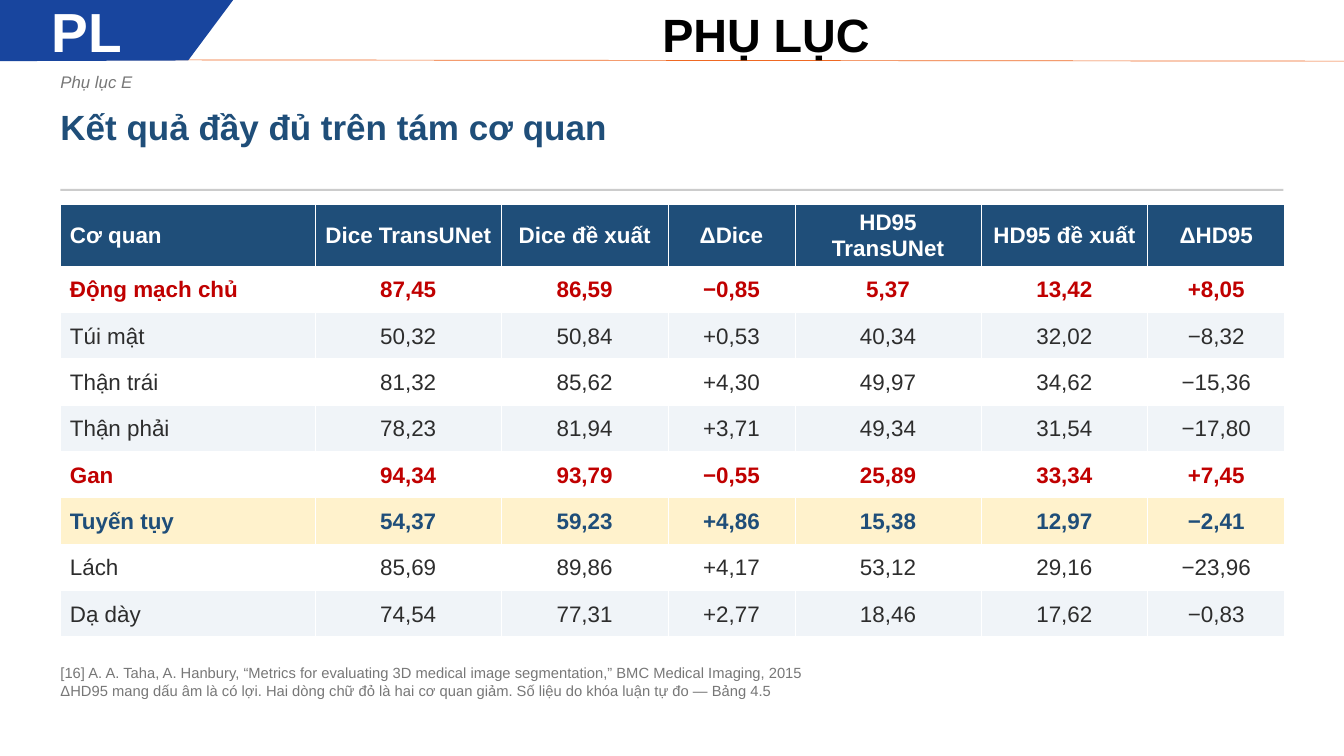
import pptx
import pptx.util
import pptx.dml.color
import pptx.enum.text
import pptx.enum.shapes
import lxml.etree
from dataclasses import dataclass

Inches, Pt = pptx.util.Inches, pptx.util.Pt
RGB = pptx.dml.color.RGBColor.from_string
Align = pptx.enum.text.PP_ALIGN
Anchor = pptx.enum.text.MSO_ANCHOR
Fit = pptx.enum.text.MSO_AUTO_SIZE


@dataclass
class Theme:
    face: str = "Arial"
    white: str = "FFFFFF"
    black: str = "000000"
    navy: str = "1F4E79"
    blue: str = "18459E"
    orange: str = "EF6822"
    red: str = "C00000"
    ink: str = "2D2D2D"
    gray: str = "777777"
    rule: str = "CCCCCC"
    pale: str = "F0F4F8"
    gold: str = "FFF2CC"
    badge: float = 59
    head: float = 50
    title: float = 37.5
    cell: float = 24
    label: float = 18
    note: float = 15.8


theme = Theme()


def write(frame, lines, size, color, form, para):
    """Fill a text frame; form holds font values, para paragraph values."""
    frame.text = "\n".join(lines)
    font = {"name": theme.face, "size": Pt(size), **form}
    for item in frame.paragraphs:
        for key, value in para.items():
            setattr(item, key, value)
        for run in item.runs:
            for key, value in font.items():
                setattr(run.font, key, value)
            run.font.color.rgb = RGB(color)


def paint(shape, color):
    shape.fill.solid()
    shape.fill.fore_color.rgb = RGB(color)
    shape.line.fill.background()
    shape.shadow.inherit = False


deck = pptx.Presentation()
deck.slide_width, deck.slide_height = Inches(20), Inches(11.25)
slide = deck.slides.add_slide(deck.slide_layouts[6])
shapes = slide.shapes
left, width = 0.9, 18.2

# Header band
line = shapes.add_connector(
    pptx.enum.shapes.MSO_CONNECTOR.STRAIGHT,
    Inches(1.43), Inches(0.89), Inches(20.08), Inches(0.91))
line.line.color.rgb = RGB(theme.orange)
line.line.width = Pt(0.75)
lxml.etree.SubElement(
    line._element.spPr,
    "{http://schemas.openxmlformats.org/drawingml/2006/main}effectLst")

edge = [(2.8, 0.9), (-0.03, 0.91), (-0.03, -0.04), (3.5, -0.04)]
points = [(Inches(x), Inches(y)) for x, y in edge]
path = shapes.build_freeform(*points[0])
path.add_line_segments(points[1:], close=True)
paint(path.convert_to_shape(), theme.blue)

# Rule above the table
rule = shapes.add_shape(
    pptx.enum.shapes.MSO_SHAPE.RECTANGLE,
    Inches(left), Inches(2.81), Inches(width), Inches(0.03))
paint(rule, theme.rule)

# Text boxes: place, lines, size, colour, font, spacing, align, anchor, fit
bold, slant = {"bold": True}, {"italic": True}
mid, start = Align.CENTER, Align.LEFT
boxes = [
    ((0.29, -0.16, 2.01, 1.34), ["PL"], theme.badge, theme.white, bold,
     Pt(63.7), mid, Anchor.MIDDLE, Fit.NONE),
    ((5.68, -0.02, 11.44, 1.12), ["PHỤ LỤC"], theme.head, theme.black, bold,
     Pt(54), mid, Anchor.MIDDLE, Fit.NONE),
    ((left, 0.99, width, 0.39), ["Phụ lục E"], theme.label, theme.gray, slant,
     1.28, start, Anchor.TOP, Fit.SHAPE_TO_FIT_TEXT),
    ((left, 1.49, width, 1.26), ["Kết quả đầy đủ trên tám cơ quan"],
     theme.title, theme.navy, bold,
     1.14, start, Anchor.TOP, Fit.SHAPE_TO_FIT_TEXT),
    ((left, 9.39, width, 1.02),
     ["[16] A. A. Taha, A. Hanbury, “Metrics for evaluating 3D medical image "
      "segmentation,” BMC Medical Imaging, 2015",
      "ΔHD95 mang dấu âm là có lợi. Hai dòng chữ đỏ là hai cơ quan giảm. "
      "Số liệu do khóa luận tự đo — Bảng 4.5"],
     theme.note, theme.gray, {},
     1.04, start, Anchor.BOTTOM, Fit.SHAPE_TO_FIT_TEXT),
]
for place, lines, size, color, form, space, align, anchor, fit in boxes:
    frame = shapes.add_textbox(*map(Inches, place)).text_frame
    setup = {"word_wrap": True, "auto_size": fit, "vertical_anchor": anchor,
             "margin_left": 0, "margin_top": 0,
             "margin_right": 0, "margin_bottom": 0}
    for key, value in setup.items():
        setattr(frame, key, value)
    write(frame, lines, size, color, form,
          {"line_spacing": space, "alignment": align})

# Results table
rows = [
    ["Cơ quan", "Dice TransUNet", "Dice đề xuất", "ΔDice",
     "HD95 TransUNet", "HD95 đề xuất", "ΔHD95"],
    ["Động mạch chủ", "87,45", "86,59", "−0,85", "5,37", "13,42", "+8,05"],
    ["Túi mật", "50,32", "50,84", "+0,53", "40,34", "32,02", "−8,32"],
    ["Thận trái", "81,32", "85,62", "+4,30", "49,97", "34,62", "−15,36"],
    ["Thận phải", "78,23", "81,94", "+3,71", "49,34", "31,54", "−17,80"],
    ["Gan", "94,34", "93,79", "−0,55", "25,89", "33,34", "+7,45"],
    ["Tuyến tụy", "54,37", "59,23", "+4,86", "15,38", "12,97", "−2,41"],
    ["Lách", "85,69", "89,86", "+4,17", "53,12", "29,16", "−23,96"],
    ["Dạ dày", "74,54", "77,31", "+2,77", "18,46", "17,62", "−0,83"],
]
widths = [3.79, 2.77, 2.48, 1.89, 2.77, 2.48, 2.04]
# Rows that stand out: text colour, fill
marks = {
    "Cơ quan": (theme.white, theme.navy),
    "Động mạch chủ": (theme.red, theme.white),
    "Gan": (theme.red, theme.white),
    "Tuyến tụy": (theme.navy, theme.gold),
}
inset = {"margin_left": Inches(0.14), "margin_right": Inches(0.14),
         "margin_top": Inches(0.04), "margin_bottom": Inches(0.04),
         "vertical_anchor": Anchor.MIDDLE}
table = shapes.add_table(
    len(rows), len(widths), Inches(left), Inches(3.04),
    Inches(width), Inches(0.69 * len(rows))).table
for col, size in zip(table.columns, widths):
    col.width = Inches(size)

for r, row in enumerate(rows):
    band = theme.white if r % 2 else theme.pale
    color, fill = marks.get(row[0], (theme.ink, band))
    for c, text in enumerate(row):
        cell = table.cell(r, c)
        for key, value in inset.items():
            setattr(cell, key, value)
        cell.fill.solid()
        cell.fill.fore_color.rgb = RGB(fill)
        write(cell.text_frame, [text], theme.cell, color,
              {"bold": row[0] in marks},
              {"line_spacing": 1.05, "alignment": mid if c else start})

deck.save("out.pptx")
